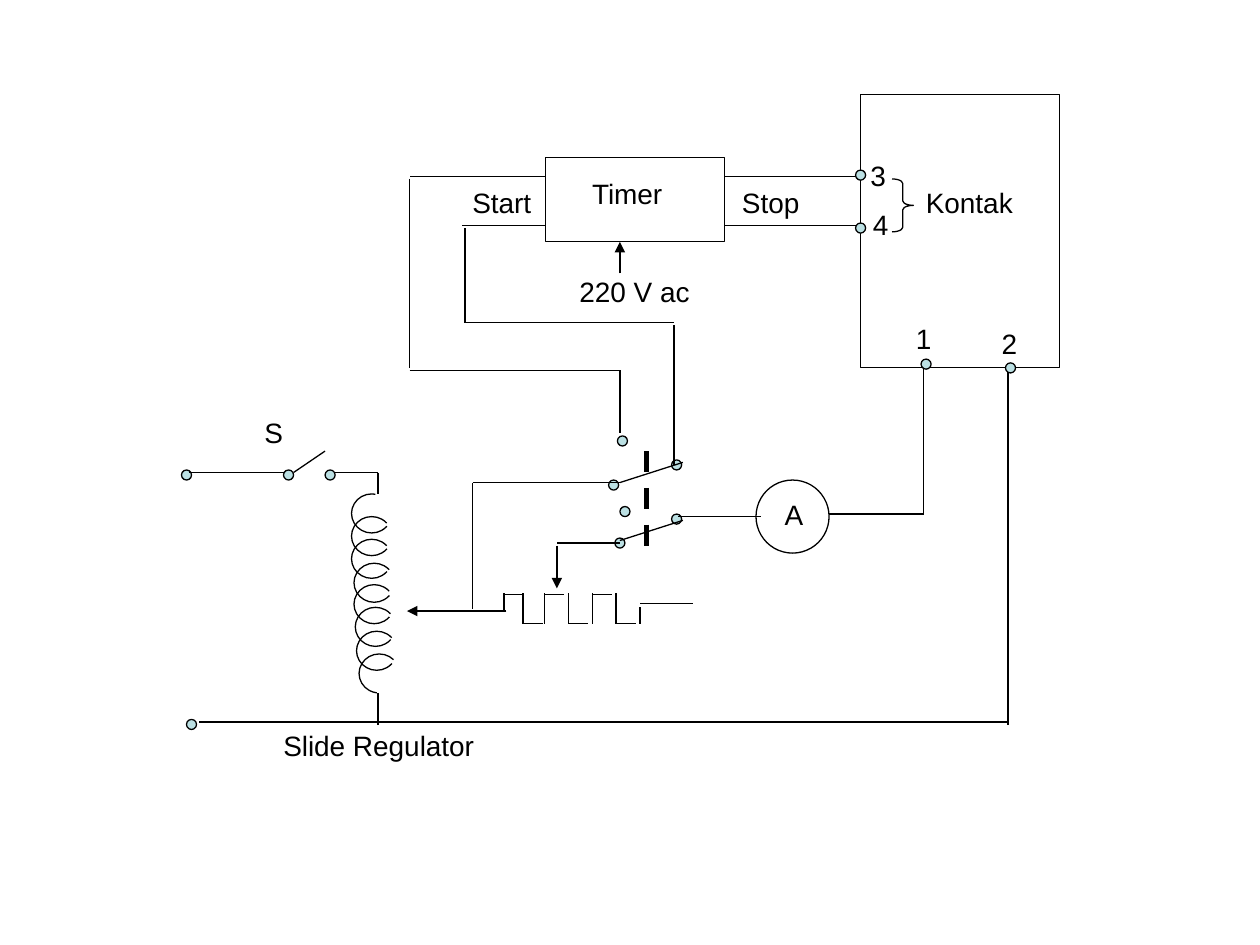
from pptx import Presentation
from pptx import util as u
from pptx.dml.color import RGBColor
from pptx.enum import dml, shapes, text
from pptx.oxml import parse_xml
from pptx.oxml.ns import nsdecls, qn

PX = 9144
BLACK = RGBColor(0x00, 0x00, 0x00)
AQUA = RGBColor(0xBB, 0xE0, 0xE3)
FORM = shapes.MSO_SHAPE

deck = Presentation()
deck.slide_width, deck.slide_height = 1000 * PX, 750 * PX
slide = deck.slides.add_slide(deck.slide_layouts[6])
parts = slide.shapes


def draw(kind, box, fill=None, width=0.75, head=False):
    a, b, c, d = [n * PX for n in box]
    if kind == "wire":
        part = parts.add_connector(shapes.MSO_CONNECTOR.STRAIGHT, a, b, c, d)
        part._element.spPr.append(parse_xml(f"<a:effectLst {nsdecls('a')}/>"))
    else:
        part = parts.add_shape(kind, a, b, c, d)
        part.shadow.inherit = False
        if fill is None:
            part.fill.background()
        else:
            part.fill.solid()
            part.fill.fore_color.rgb = fill
    part.line.color.rgb = BLACK
    part.line.width = u.Pt(width)
    if head:
        line = part._element.spPr.find(qn("a:ln"))
        line.append(parse_xml(f'<a:tailEnd {nsdecls("a")} type="triangle"/>'))
    return part


def label(words, left, top, width, size=16, font="Arial", color=BLACK):
    box = parts.add_textbox(left * PX, top * PX, width * PX, 37 * PX)
    frame = box.text_frame
    frame.word_wrap = True
    frame.auto_size = text.MSO_AUTO_SIZE.SHAPE_TO_FIT_TEXT
    para = frame.paragraphs[0]
    para.space_before = u.Pt(10)
    run = para.add_run()
    run.text = words
    run.font.size = u.Pt(size)
    run.font.name = font
    run.font.color.rgb = color


for box in [(683, 75, 158, 217), (433, 125, 142, 67)]:
    draw(FORM.RECTANGLE, box)

for left, top in [(144, 373), (731, 285), (533, 365), (483, 381), (490, 346),
                  (492, 402), (533, 408), (488, 427), (148, 571)]:
    draw(FORM.OVAL, (left, top, 8, 8), fill=AQUA)

wires = [
    (575, 140, 683, 140), (575, 179, 683, 179),
    (433, 140, 325, 140), (367, 179, 433, 179),
    (325, 142, 325, 292), (369, 181, 369, 256),
    (325, 294, 492, 294), (369, 256, 535, 256),
    (535, 258, 535, 369), (492, 294, 492, 344),
    (542, 367, 492, 383), (542, 413, 492, 429),
    (492, 431, 442, 431), (538, 410, 604, 410),
    (658, 408, 733, 408), (733, 408, 733, 292),
    (800, 292, 800, 575), (800, 573, 158, 573),
    (492, 383, 375, 383), (375, 383, 375, 483),
    (508, 479, 550, 479), (150, 375, 225, 375),
    (258, 375, 300, 375), (233, 375, 258, 358),
    (300, 375, 300, 392), (300, 550, 300, 575),
]
for wire in wires:
    draw("wire", wire)

for arrow in [(442, 433, 442, 467), (402, 485, 323, 485), (492, 217, 492, 192)]:
    draw("wire", arrow, head=True)

posts = [400, 415, 432, 451, 470, 489, 508]
for i, x in enumerate(posts):
    top = 482 if x == posts[-1] else 471
    foot = 485 if x == posts[0] else 495
    draw("wire", (x, top, x, foot))
    if x != posts[-1]:
        y = 495 if i % 2 else 472
        draw("wire", (x, y, x + 16, y))

for left, top in [(225, 373), (258, 373), (798, 288), (679, 135), (679, 177)]:
    draw(FORM.OVAL, (left, top, 8, 8), fill=AQUA)

draw(FORM.OVAL, (600, 381, 58, 58))
link = draw("wire", (513, 358, 513, 433), width=3)
link.line.dash_style = dml.MSO_LINE.DASH

coils = [
    (279, 392, 40, 281), (279, 410, 40, 319), (279, 428, 40, 319),
    (281, 447, 40, 319), (281, 464, 40, 319), (282, 482, 40, 319),
    (283, 501, 40, 319), (285, 519, 97, 316),
]
for left, top, start, end in coils:
    coil = draw(FORM.ARC, (left, top, 32, 31))
    coil.adjustments[0] = start * 0.6
    coil.adjustments[1] = end * 0.6

brace = draw(FORM.RIGHT_BRACE, (708, 142, 17, 42))
brace.adjustments[0] = 0.21

for words, left, top, width in [
    ("S", 200, 325, 67), ("A", 613, 390, 67), ("Start", 365, 142, 108),
    ("220 V ac", 450, 213, 208), ("Stop", 579, 142, 108),
    ("Timer", 460, 135, 108), ("3", 681, 121, 50), ("4", 683, 160, 50),
    ("1", 717, 250, 42), ("2", 785, 254, 42),
    ("Slide Regulator", 215, 573, 217), ("Kontak", 725, 142, 167),
]:
    label(words, left, top, width)

deck.save("out.pptx")
